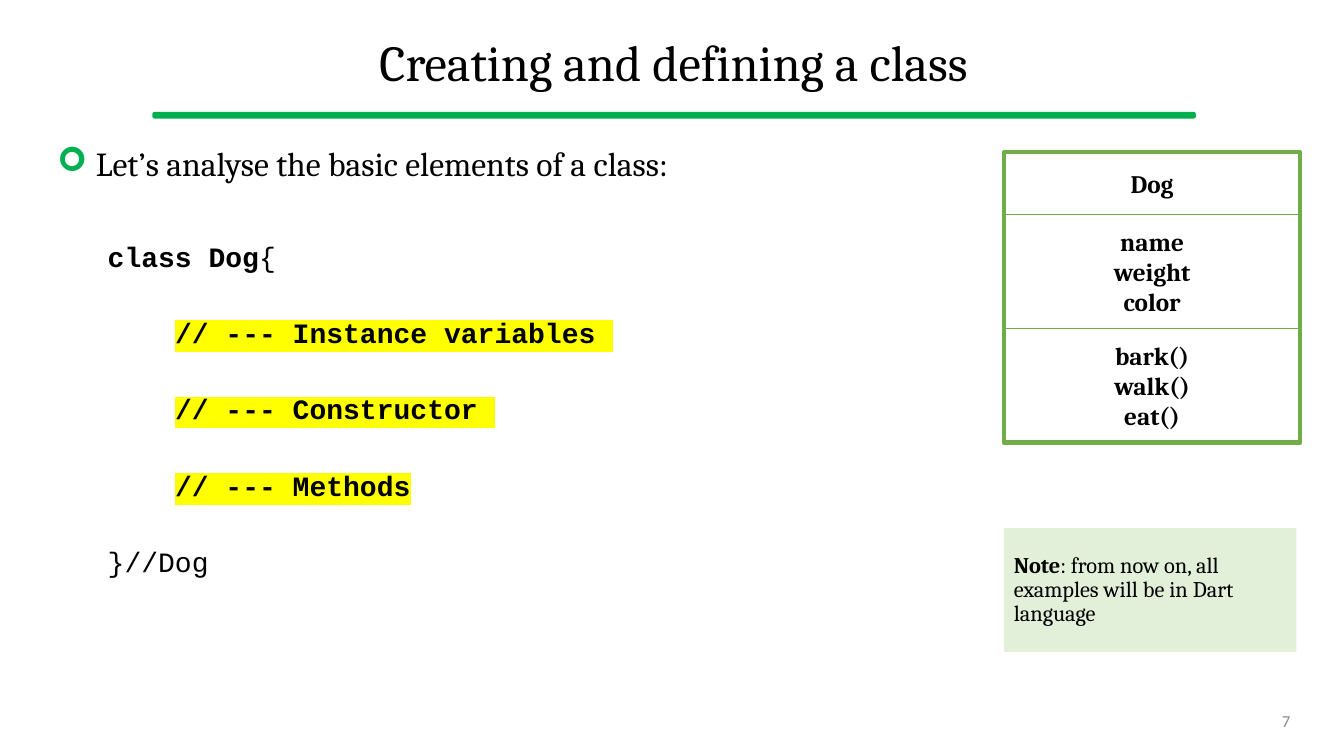
from pptx import Presentation
from pptx.dml.color import RGBColor
from pptx.enum.shapes import MSO_SHAPE
from pptx.enum.text import MSO_ANCHOR, MSO_AUTO_SIZE, PP_ALIGN
from pptx.oxml.ns import qn
from pptx.util import Cm, Pt
from lxml import etree

RECT, ROUND = MSO_SHAPE.RECTANGLE, MSO_SHAPE.ROUNDED_RECTANGLE
MID, FIXED = MSO_ANCHOR.MIDDLE, MSO_AUTO_SIZE.NONE
LEFT, MIDDLE, RIGHT = PP_ALIGN.LEFT, PP_ALIGN.CENTER, PP_ALIGN.RIGHT
COLORS = {"text": "000000", "rule": "00B050", "edge": "70AD47", "paper": "FFFFFF",
          "note": "E2F0D9", "mark": "FFFF00", "page": "8C8C8C"}
SERIF, MONO, SANS = "Cambria", "Courier New", "Calibri"
CODE = [
    [("class Dog", True, False), ("{", False, False)],
    [("    ", False, False), ("// --- Instance variables ", True, True)],
    [("    ", False, False), ("// --- Constructor ", True, True)],
    [("    ", False, False), ("// --- Methods", True, True)],
    [("}//Dog", False, False)],
]
CLASS_BOX = [("Dog", 1.57), ("name\nweight\ncolor", 2.87), ("bark()\nwalk()\neat()", 2.87)]


def rgb(name):
    """Return the named colour."""
    return RGBColor.from_string(COLORS[name])


def style(run, size, face=SERIF, bold=False, color="text"):
    """Set the font of a run."""
    font = run.font
    font.size, font.name, font.bold = Pt(size), face, bold
    font.color.rgb = rgb(color)


def space(para, before=0, line=0.9):
    """Set the spacing of a paragraph."""
    para.space_before, para.space_after = Pt(before), Pt(0)
    para.line_spacing = line


def indent(para, left, first=0, bullet=None):
    """Set the indents and the bullet of a paragraph."""
    props = para._p.get_or_add_pPr()
    props.set("marL", str(Cm(left)))
    props.set("indent", str(Cm(first)))
    if bullet:
        tint = etree.SubElement(props, qn("a:buClr"))
        etree.SubElement(tint, qn("a:srgbClr"), val=COLORS["rule"])
        etree.SubElement(props, qn("a:buFont"), typeface="Wingdings")
        etree.SubElement(props, qn("a:buChar"), char=bullet)
    else:
        etree.SubElement(props, qn("a:buNone"))


def highlight(run):
    """Mark a styled run in yellow."""
    mark = etree.Element(qn("a:highlight"))
    etree.SubElement(mark, qn("a:srgbClr"), val=COLORS["mark"])
    run._r.rPr.find(qn("a:latin")).addprevious(mark)


def place(shape, left, top, width, height):
    """Move and size a shape, in centimetres."""
    shape.left, shape.top = Cm(left), Cm(top)
    shape.width, shape.height = Cm(width), Cm(height)


def add_box(slide, kind, area, fill=None, line=None, weight=1):
    """Add a preset shape with an optional fill and outline."""
    box = slide.shapes.add_shape(kind, *map(Cm, area))
    box.shadow.inherit = False
    if fill:
        box.fill.solid()
        box.fill.fore_color.rgb = rgb(fill)
    else:
        box.fill.background()
    if line:
        box.line.color.rgb = rgb(line)
        box.line.width = Pt(weight)
    else:
        box.line.fill.background()
    return box


def add_title(slide):
    """Fill the title and underline it."""
    title = slide.shapes.title
    place(title, 1.19, 0.46, 31.57, 2.39)
    frame = title.text_frame
    frame.text = "Creating and defining a class"
    frame.auto_size, frame.vertical_anchor = FIXED, MID
    para = frame.paragraphs[0]
    para.alignment = MIDDLE
    space(para)
    style(para.runs[0], 36)
    rule = add_box(slide, ROUND, (3.86, 2.84, 26.26, 0.13), "rule", "rule")
    rule.adjustments[0] = 0.26


def add_body(slide):
    """Fill the body with the lead bullet and the code."""
    body = slide.placeholders[1]
    place(body, 1.19, 3.58, 24.49, 14.94)
    frame = body.text_frame
    frame.text = "Let’s analyse the basic elements of a class:"
    frame.auto_size, frame.vertical_anchor = FIXED, MSO_ANCHOR.TOP
    lead = frame.paragraphs[0]
    space(lead)
    indent(lead, 0.97, -0.97, "➢")
    style(lead.runs[0], 24)
    for row, parts in enumerate(CODE):
        para = frame.add_paragraph()
        para.level = 1
        space(para, 33 if row else 42.5)
        indent(para, 1.27)
        for text, bold, marked in parts:
            run = para.add_run()
            run.text = text
            style(run, 20, MONO, bold)
            if marked:
                highlight(run)


def add_class(slide, left, top, width):
    """Stack the parts of the class box inside a thick frame."""
    base = top
    for text, height in CLASS_BOX:
        part = add_box(slide, RECT, (left, base, width, height), "paper", "edge")
        frame = part.text_frame
        frame.text = text
        frame.vertical_anchor = MID
        for para in frame.paragraphs:
            para.alignment = MIDDLE
            style(para.runs[0], 18, bold=True)
        base += height
    add_box(slide, RECT, (left, top, width, base - top), line="edge", weight=3)


def add_note(slide):
    """Add the shaded note."""
    note = add_box(slide, RECT, (25.3, 13.31, 7.37, 3.12), "note")
    frame = note.text_frame
    frame.text = "Note"
    frame.word_wrap, frame.vertical_anchor = True, MID
    para = frame.paragraphs[0]
    para.alignment = LEFT
    space(para)
    style(para.runs[0], 16, bold=True)
    rest = para.add_run()
    rest.text = ": from now on, all examples will be in Dart language"
    style(rest, 16)


def add_page(slide):
    """Add the slide number as a field."""
    box = slide.shapes.add_textbox(Cm(23.93), Cm(17.65), Cm(8.84), Cm(1.02))
    frame = box.text_frame
    frame.text = "7"
    frame.word_wrap, frame.vertical_anchor = True, MID
    para = frame.paragraphs[0]
    para.alignment = RIGHT
    run = para.runs[0]
    style(run, 12, SANS, color="page")
    field = run._r
    field.tag = qn("a:fld")
    field.set("id", "{B6F15528-21DE-4FAA-801E-634DDDAF4B2B}")
    field.set("type", "slidenum")


def main():
    """Build and save the slide."""
    deck = Presentation()
    deck.slide_width, deck.slide_height = Cm(33.87), Cm(19.05)
    first = deck.element.get_or_add_sldIdLst()
    deck.element.set("firstSlideNum", "7")
    slide = deck.slides.add_slide(deck.slide_layouts[1])
    add_title(slide)
    add_body(slide)
    add_class(slide, 25.3, 3.84, 7.47)
    add_note(slide)
    add_page(slide)
    deck.save("out.pptx")


if __name__ == "__main__":
    main()
